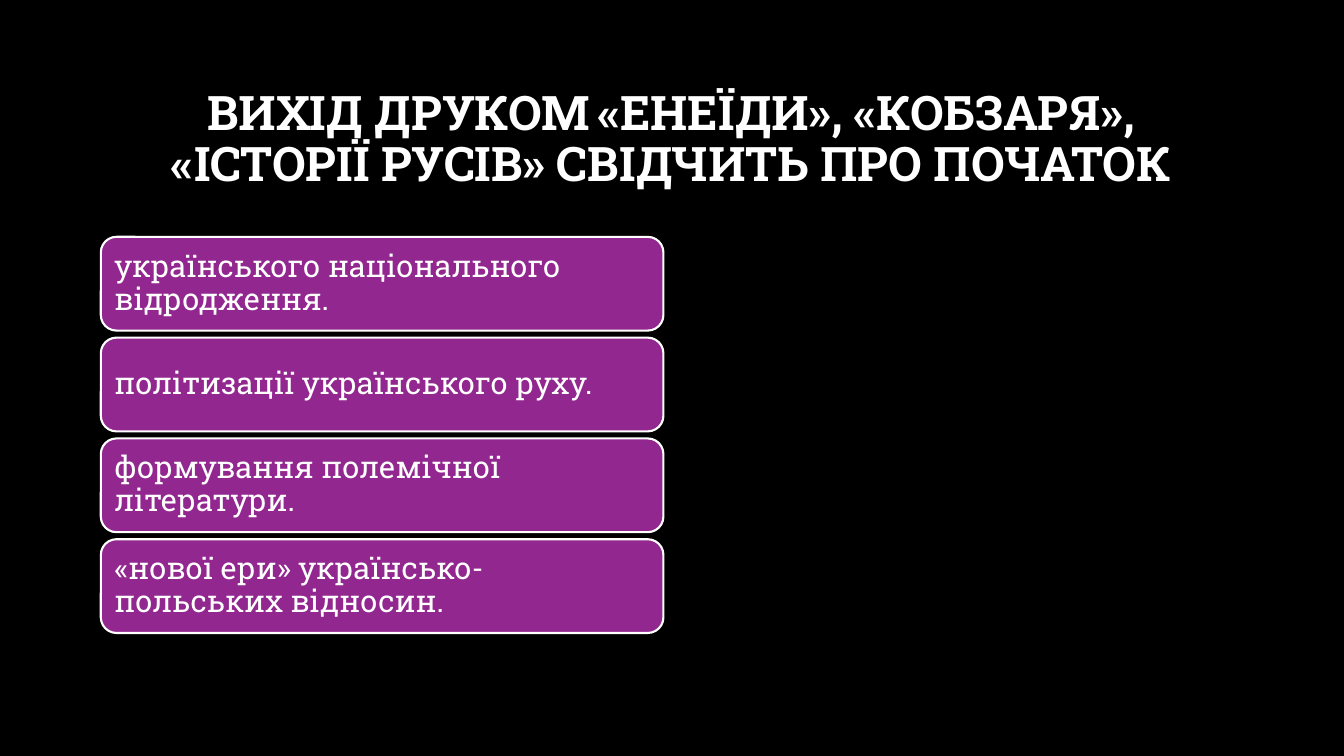
from pptx import Presentation
from pptx.dml.color import RGBColor
from pptx.enum.shapes import MSO_SHAPE
from pptx.enum.text import MSO_ANCHOR, PP_ALIGN
from pptx.util import Inches, Pt

ROUNDED = MSO_SHAPE.ROUNDED_RECTANGLE
MIDDLE = MSO_ANCHOR.MIDDLE
LEFT, CENTER = PP_ALIGN.LEFT, PP_ALIGN.CENTER

FONT = "Roboto Slab"
BLACK, WHITE, PURPLE = "000000", "FFFFFF", "92278F"

MARGIN = 1
TITLE_TOP, TITLE_WIDTH, TITLE_HEIGHT = 0.67, 11.32, 1.45
ANSWER_TOP, ANSWER_WIDTH, ANSWER_HEIGHT = 2.35, 5.58, 0.93
ROW_STEP = 1
ANSWER_INSET = 0.09

TITLE = "ВИХІД ДРУКОМ «ЕНЕЇДИ», «КОБЗАРЯ», «ІСТОРІЇ РУСІВ» СВІДЧИТЬ ПРО ПОЧАТОК"
ANSWERS = [
    "українського національного відродження.",
    "політизації українського руху.",
    "формування полемічної літератури.",
    "«нової ери» українсько-польських відносин.",
]


def color(hex_string):
    return RGBColor.from_string(hex_string)


def paint(fill, hex_string):
    fill.solid()
    fill.fore_color.rgb = color(hex_string)


def write_text(shape, text, size, alignment, bold=False):
    frame = shape.text_frame
    frame.word_wrap = True
    frame.vertical_anchor = MIDDLE
    paragraph = frame.paragraphs[0]
    paragraph.text = text
    paragraph.alignment = alignment
    paragraph.line_spacing = 0.9
    paragraph.font.name = FONT
    paragraph.font.size = Pt(size)
    paragraph.font.bold = bold
    paragraph.font.color.rgb = color(WHITE)


def add_title(slide, text):
    box = slide.shapes.add_textbox(
        Inches(MARGIN), Inches(TITLE_TOP), Inches(TITLE_WIDTH), Inches(TITLE_HEIGHT)
    )
    write_text(box, text, 34, CENTER, bold=True)


def add_answer(slide, row, text):
    shape = slide.shapes.add_shape(
        ROUNDED,
        Inches(MARGIN),
        Inches(ANSWER_TOP + row * ROW_STEP),
        Inches(ANSWER_WIDTH),
        Inches(ANSWER_HEIGHT),
    )
    shape.shadow.inherit = False
    paint(shape.fill, PURPLE)
    paint(shape.line.fill, WHITE)
    shape.line.width = Pt(1.5)
    frame = shape.text_frame
    frame.margin_left = frame.margin_right = Inches(ANSWER_INSET)
    frame.margin_top = frame.margin_bottom = Inches(ANSWER_INSET)
    write_text(shape, text, 22, LEFT)


def main():
    presentation = Presentation()
    presentation.slide_width = Inches(13.33)
    presentation.slide_height = Inches(7.5)
    slide = presentation.slides.add_slide(presentation.slide_layouts[6])
    paint(slide.background.fill, BLACK)
    add_title(slide, TITLE)
    for row, answer in enumerate(ANSWERS):
        add_answer(slide, row, answer)
    presentation.save("out.pptx")


if __name__ == "__main__":
    main()
